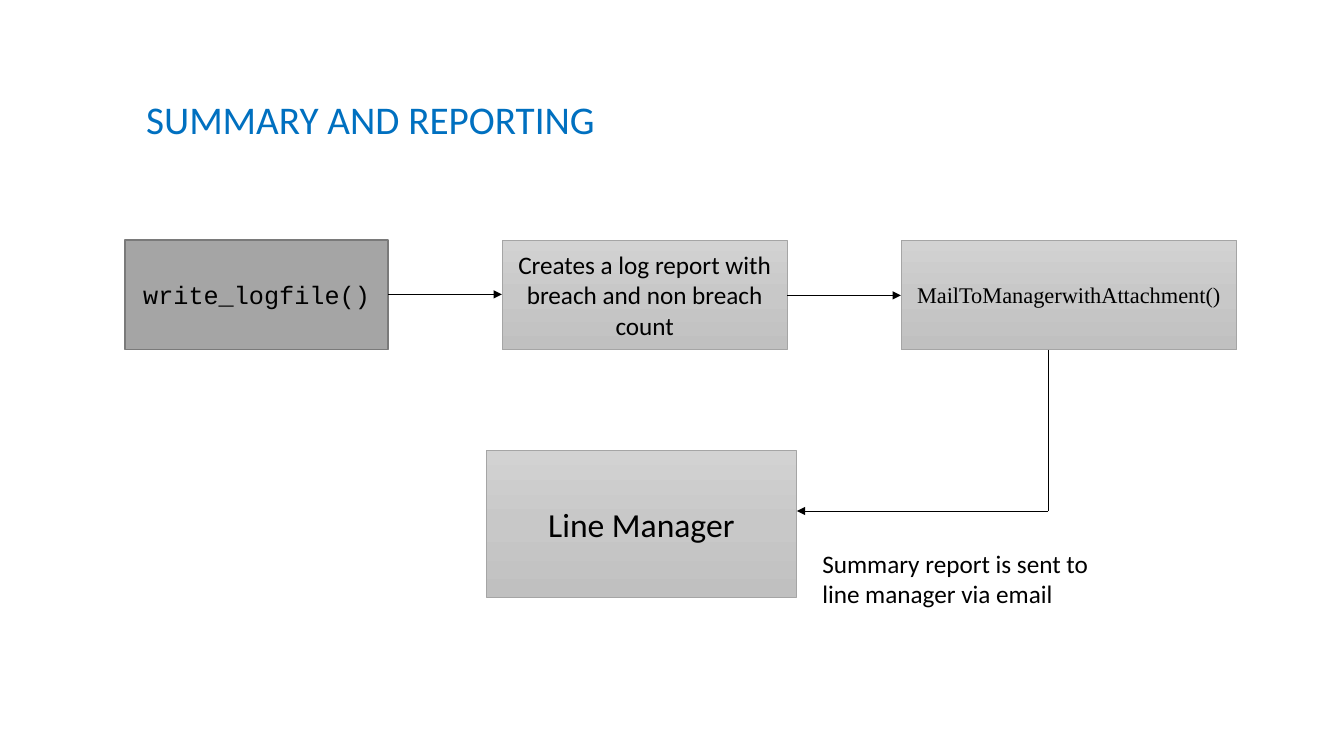
from dataclasses import dataclass

from lxml.etree import SubElement as sub
from pptx import Presentation
from pptx.dml.color import RGBColor
from pptx.enum.shapes import MSO_CONNECTOR as Conn, MSO_SHAPE as Kind
from pptx.enum.text import MSO_ANCHOR as Anchor, MSO_AUTO_SIZE as Fit, PP_ALIGN as Align
from pptx.oxml.ns import qn
from pptx.util import Pt

BLACK, BLUE, GREY, EDGE = "000000", "0070C0", "A5A5A5", "7A7A7A"
SHADES = {0: "D2D2D2", 50: "C8C8C8", 100: "C0C0C0"}
TOP, HIGH = 171.36, 78.5  # row of steps


@dataclass
class Box:
    text: str
    left: float
    top: float
    width: float
    height: float
    size: float = 18
    font: str = "Calibri"
    flat: bool = False


@dataclass
class Link:
    start: tuple[float, float]
    end: tuple[float, float]
    arrow: bool = True


def tint(code: str) -> RGBColor:
    return RGBColor.from_string(code)


def write(frame, text: str, size: float, align: Align, anchor: Anchor,
          font: str = "Calibri", color: str = BLACK) -> None:
    frame.word_wrap = True
    frame.vertical_anchor = anchor
    para = frame.paragraphs[0]
    para.alignment = align
    run = para.add_run()
    run.text = text
    run.font.name, run.font.size = font, Pt(size)
    run.font.color.rgb = tint(color)


def shade(shape) -> None:
    shape.fill.gradient()
    shape.fill.gradient_angle = 270
    stops = shape.element.spPr.find(qn("a:gradFill")).find(qn("a:gsLst"))
    stops.clear()
    for spot, code in SHADES.items():
        stop = sub(stops, qn("a:gs"), pos=str(spot * 1000))
        sub(stop, qn("a:srgbClr"), val=code)


def draw_box(slide, box: Box) -> None:
    shape = slide.shapes.add_shape(Kind.RECTANGLE, Pt(box.left), Pt(box.top),
                                   Pt(box.width), Pt(box.height))
    shape.shadow.inherit = False
    if box.flat:
        shape.fill.solid()
        shape.fill.fore_color.rgb = tint(GREY)
    else:
        shade(shape)
    shape.line.color.rgb = tint(EDGE if box.flat else GREY)
    shape.line.width = Pt(1 if box.flat else 0.5)
    write(shape.text_frame, box.text, box.size, Align.CENTER, Anchor.MIDDLE, box.font)


def draw_link(slide, link: Link) -> None:
    line = slide.shapes.add_connector(Conn.STRAIGHT, *map(Pt, link.start + link.end))
    line.line.color.rgb = tint(BLACK)
    line.line.width = Pt(0.5)
    if link.arrow:
        sub(line.line._get_or_add_ln(), qn("a:tailEnd"), type="triangle")
    sub(line.element.spPr, qn("a:effectLst"))


deck = Presentation()
deck.slide_width, deck.slide_height = Pt(960), Pt(540)
slide = deck.slides.add_slide(deck.slide_layouts[5])

# Title
title = slide.shapes.title
title.left, title.top, title.width, title.height = map(Pt, (97.2, 64.8, 751, 41))
write(title.text_frame, "SUMMARY AND REPORTING", 28, Align.LEFT, Anchor.TOP, color=BLUE)
title.text_frame.auto_size = Fit.NONE

# Steps and receiver
log = Box("write_logfile()", 89.28, TOP, 188, HIGH, font="Courier New", flat=True)
report = Box("Creates a log report with breach and non breach count", 358.5, TOP, 204, HIGH)
mail = Box("MailToManagerwithAttachment()", 643.5, TOP, 240, HIGH, 16, "Times New Roman")
boss = Box("Line Manager", 347.2, 322, 222, 104.5, 24)
for box in (log, report, mail, boss):
    draw_box(slide, box)

# Arrows between steps, then the bend down to the manager
for one, two, mid in ((log, report, 210.3), (report, mail, 211)):
    draw_link(slide, Link((one.left + one.width, mid), (two.left, mid)))
bend = (748.8, 365)
draw_link(slide, Link((bend[0], TOP + HIGH), bend, arrow=False))
draw_link(slide, Link(bend, (boss.left + boss.width, bend[1])))

# Note under the last arrow
note = slide.shapes.add_textbox(*map(Pt, (580.3, 388.1, 222, 51)))
write(note.text_frame, "Summary report is sent to line manager via email", 18,
      Align.LEFT, Anchor.TOP)
note.text_frame.auto_size = Fit.SHAPE_TO_FIT_TEXT

deck.save("out.pptx")
